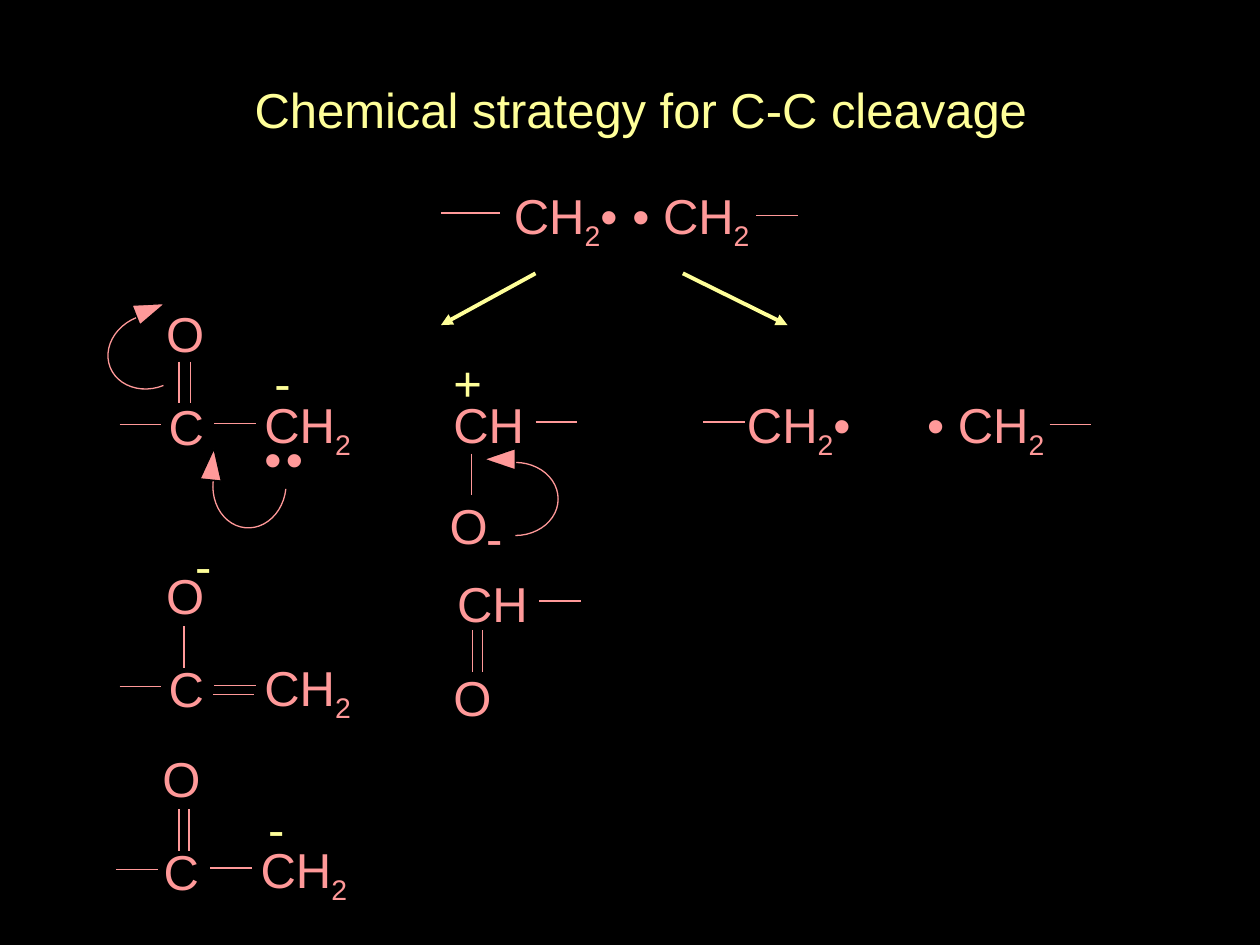
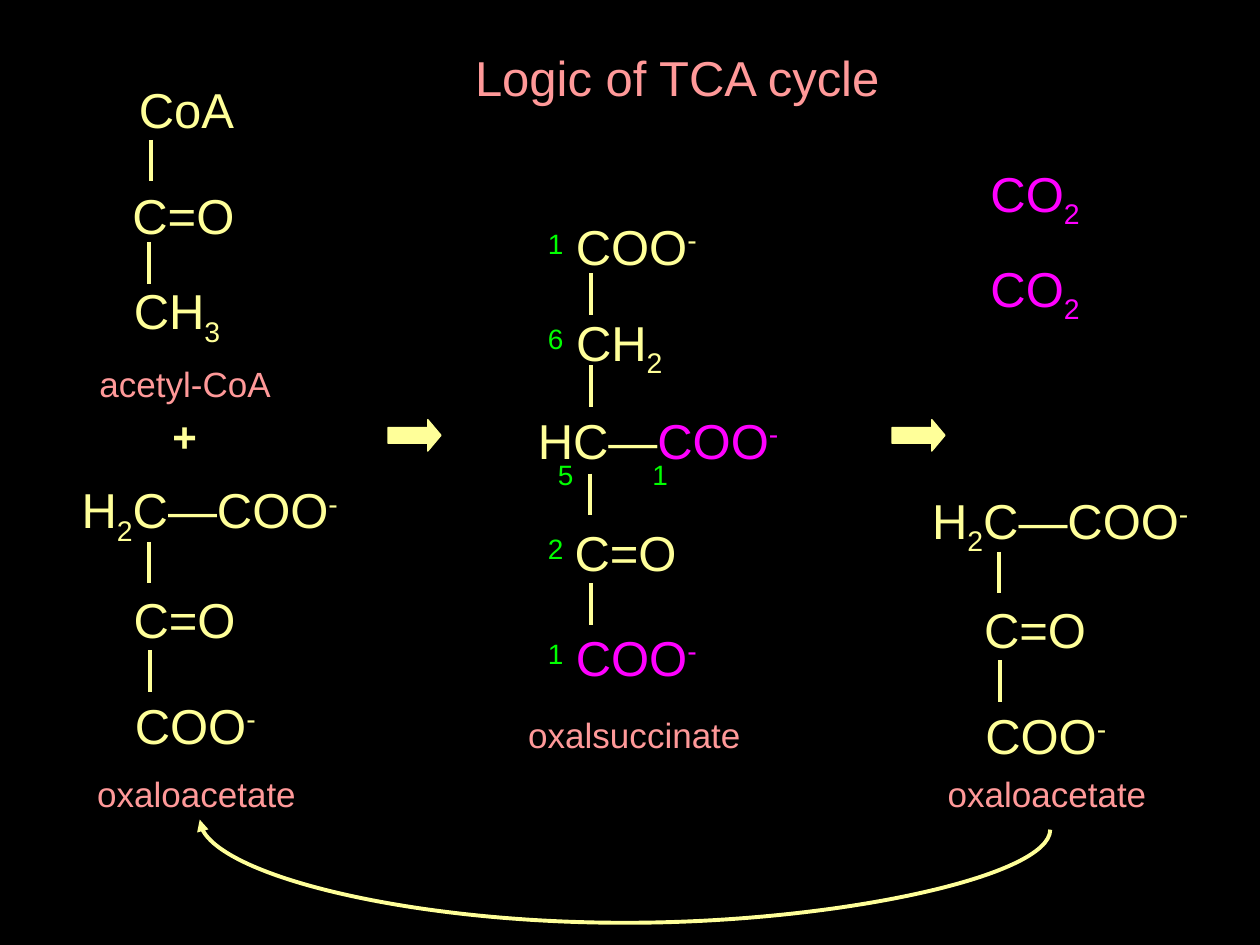
import pptx
import pptx.util
import pptx.dml.color
import pptx.enum.shapes
import pptx.enum.text
import pptx.oxml.ns
import lxml.etree

SCALE = 9144  # EMU in one px, 100 px to the inch


class Theme:
    font = "Arial"
    black, pink, cream = "000000", "FF9999", "FFFF99"
    green, violet = "00FF00", "FF00FF"
    big, plus, name, small = 28, 24, 20, 16
    high = {28: 57, 24: 50, 20: 43, 16: 37}
    thin, thick = 0.75, 2.25
    base = {"_": "-25000", "^": "30000"}


# Box width of each label; "|" parts the runs, "_" lowers and "^" raises one
WIDE = {
    "C": 48, "O": 50, "CH": 76, "CH|_2": 91, "CH|_3": 91, "CO|_2": 93,
    "CH|_2|•": 105, "• CH|_2": 115, "•": 34, "-": 33, "C=O": 101,
    "CoA": 96, "COO|^-": 118, "HC—|COO|^-": 213, "H|_2|C—COO|^-": 227,
    "acetyl-CoA": 156, "oxaloacetate": 178, "oxalsuccinate": 189,
    "Chemical strategy for C-C cleavage": 635, "Logic of TCA cycle": 345,
}
Shape = pptx.enum.shapes.MSO_SHAPE
Wire = pptx.enum.shapes.MSO_CONNECTOR
Align = pptx.enum.text.PP_ALIGN
rgb = pptx.dml.color.RGBColor.from_string


def put(slide, text, x, y, color, size=Theme.big, wide=None, box=None):
    """Write a label at x, y, in a new text box or in the given one."""
    box = box or slide.shapes.add_textbox(0, 0, 0, 0)
    box.left, box.top = x * SCALE, y * SCALE
    box.width = (wide or WIDE[text]) * SCALE
    box.height = Theme.high[size] * SCALE
    frame = box.text_frame
    frame.word_wrap = False
    frame.auto_size = pptx.enum.text.MSO_AUTO_SIZE.SHAPE_TO_FIT_TEXT
    frame.vertical_anchor = pptx.enum.text.MSO_ANCHOR.TOP
    line = frame.paragraphs[0]
    line.alignment = Align.LEFT
    for part in text.split("|"):
        run = line.add_run()
        run.text = part.lstrip("_^")
        run.font.name = Theme.font
        run.font.size = pptx.util.Pt(size)
        run.font.color.rgb = rgb(color)
        if part[0] in Theme.base:
            run.font._element.set("baseline", Theme.base[part[0]])
    return line


def bond(slide, x1, y1, x2, y2, color, width, head=False, kind=Wire.STRAIGHT):
    """Draw a line, with an arrowhead at its end if head is set."""
    wire = slide.shapes.add_connector(kind, *(n * SCALE for n in (x1, y1, x2, y2)))
    wire.line.color.rgb = rgb(color)
    wire.line.width = pptx.util.Pt(width)
    qn = pptx.oxml.ns.qn
    if head:
        tip = lxml.etree.SubElement(wire.line._get_or_add_ln(), qn("a:tailEnd"))
        tip.set("type", "triangle")
    lxml.etree.SubElement(wire._element.spPr, qn("a:effectLst"))
    return wire


# Deck
deck = pptx.Presentation()
deck.slide_width, deck.slide_height = 1000 * SCALE, 750 * SCALE
fill = deck.slide_master.background.fill
fill.solid()
fill.fore_color.rgb = rgb(Theme.black)

pages = []
for text, x, y, color in [
    ("Chemical strategy for C-C cleavage", 192, 58, Theme.cream),
    ("Logic of TCA cycle", 367, 33, Theme.pink),
]:
    page = deck.slides.add_slide(deck.slide_layouts[5])
    put(page, text, x, y, color, box=page.shapes.title)
    pages.append(page)
split, cycle = pages

# Slide 1: atoms
for text, x, y in [
    ("CH|_2|•", 398, 142), ("• CH|_2", 492, 142),
    ("O", 122, 236), ("C", 124, 310), ("CH|_2", 200, 308),
    ("•", 200, 335), ("•", 217, 335),
    ("CH", 350, 308), ("O", 347, 388), ("-", 376, 398),
    ("CH|_2|•", 583, 308), ("• CH|_2", 726, 308),
    ("CH", 353, 450), ("O", 350, 525),
    ("O", 122, 444), ("C", 124, 518), ("CH|_2", 200, 517),
    ("O", 119, 589), ("C", 120, 663), ("CH|_2", 197, 661),
]:
    put(split, text, x, y, Theme.pink)

# Charges
for x, y in [(208, 275), (145, 420), (203, 629)]:
    put(split, "-", x, y, Theme.cream)
put(split, "+", 350, 275, Theme.cream, wide=43)

# Bonds, level and upright
bond(split, 350, 169, 397, 169, Theme.pink, Theme.thin)
for x, y in [
    (600, 171), (95, 337), (170, 336), (425, 335), (558, 335), (833, 337),
    (428, 477), (95, 545), (170, 544), (169, 551), (92, 690), (167, 689),
]:
    bond(split, x, y, x + 33, y, Theme.pink, Theme.thin)
for x, y in [
    (142, 287), (151, 287), (374, 360), (375, 500), (383, 500),
    (146, 497), (142, 642), (150, 642),
]:
    bond(split, x, y, x, y + 33, Theme.pink, Theme.thin)

# Two ways to cleave
for x1, x2 in [(425, 350), (542, 625)]:
    bond(split, x1, 217, x2, 258, Theme.cream, Theme.thick, head=True)

# Electron moves: centre and turn of each half ellipse, then of its tip
for x, y, turn, tip_x, tip_y, tip_turn in [
    (198, 385, 95.9, 168, 368, 5.9),
    (119, 279, 158.3, 119, 245, 68.3),
    (409, 396, 0, 396, 364, 270),
]:
    arc = split.shapes.add_shape(
        Shape.ARC, (x - 34) * SCALE, (y - 29) * SCALE, 68 * SCALE, 58 * SCALE)
    arc.adjustments[0], arc.adjustments[1] = 162, 54
    arc.rotation = turn
    arc.fill.background()
    arc.line.color.rgb = rgb(Theme.pink)
    tip = split.shapes.add_shape(
        Shape.ISOSCELES_TRIANGLE, (tip_x - 8) * SCALE, (tip_y - 12) * SCALE,
        17 * SCALE, 25 * SCALE)
    tip.rotation = tip_turn
    tip.fill.solid()
    tip.fill.fore_color.rgb = rgb(Theme.pink)
    tip.line.color.rgb = rgb(Theme.black)
    for form in (arc, tip):
        form.line.width = pptx.util.Pt(Theme.thin)
        form.shadow.inherit = False

# Slide 2: atoms, with oxaloacetate on both sides
atoms = [
    ("CoA", 100, 58, Theme.cream), ("C=O", 95, 142, Theme.cream),
    ("CH|_3", 95, 218, Theme.cream),
    ("COO|^-", 446, 167, Theme.cream), ("CH|_2", 446, 243, Theme.cream),
    ("C=O", 446, 410, Theme.cream), ("COO|^-", 446, 493, Theme.violet),
    ("CO|_2", 775, 125, Theme.violet), ("CO|_2", 775, 200, Theme.violet),
]
bonds = [(120, 111), (118, 192), (469, 217), (469, 290), (468, 376), (469, 463)]
for dx, dy in [(0, 0), (675, 8)]:
    atoms += [
        ("H|_2|C—COO|^-", 53 + dx, 376 + dy, Theme.cream),
        ("C=O", 96 + dx, 463 + dy, Theme.cream),
        ("COO|^-", 96 + dx, 547 + dy, Theme.cream),
    ]
    bonds += [(118 + dx, 430 + dy), (119 + dx, 516 + dy)]
for text, x, y, color in atoms:
    put(cycle, text, x, y, color).alignment = Align.CENTER
for x, y in bonds:
    bond(cycle, x, y, x, y + 33, Theme.cream, Theme.thick)

side = put(cycle, "HC—|COO|^-", 417, 321, Theme.cream)
for run in side.runs[1:]:
    run.font.color.rgb = rgb(Theme.violet)

# Carbon numbers
for text, x, y in [
    ("1", 425, 175), ("6", 425, 250), ("5", 433, 358),
    ("2", 425, 417), ("1", 425, 500), ("1", 508, 358),
]:
    put(cycle, text, x, y, Theme.green, Theme.small, 32).alignment = Align.CENTER

# Compound names
for text, x, y in [
    ("acetyl-CoA", 69, 283), ("oxalsuccinate", 409, 561),
    ("oxaloacetate", 67, 608), ("oxaloacetate", 742, 608),
]:
    put(cycle, text, x, y, Theme.pink, Theme.name).alignment = Align.CENTER
put(cycle, "+", 127, 321, Theme.cream, Theme.plus, 40).runs[0].font.bold = True

# Step arrows
for x in (308, 708):
    step = cycle.shapes.add_shape(
        Shape.RIGHT_ARROW, x * SCALE, 333 * SCALE, 42 * SCALE, 25 * SCALE)
    step.adjustments[1] = 0.42
    step.fill.solid()
    step.fill.fore_color.rgb = rgb(Theme.cream)
    step.line.color.rgb = rgb(Theme.cream)
    step.line.width = pptx.util.Pt(Theme.thin)
    step.shadow.inherit = False

# Return curve: a curved connector turned a quarter, bowed far below its ends
back = bond(cycle, 492, 992, 500, 317, Theme.cream, Theme.thick, True, Wire.CURVE)
qn = pptx.oxml.ns.qn
back._element.spPr.find(qn("a:xfrm")).set("rot", "16200000")
geom = back._element.spPr.find(qn("a:prstGeom"))
bow = lxml.etree.SubElement(geom.find(qn("a:avLst")), qn("a:gd"))
bow.set("name", "adj1")
bow.set("fmla", "val -925000")

deck.save("out.pptx")
